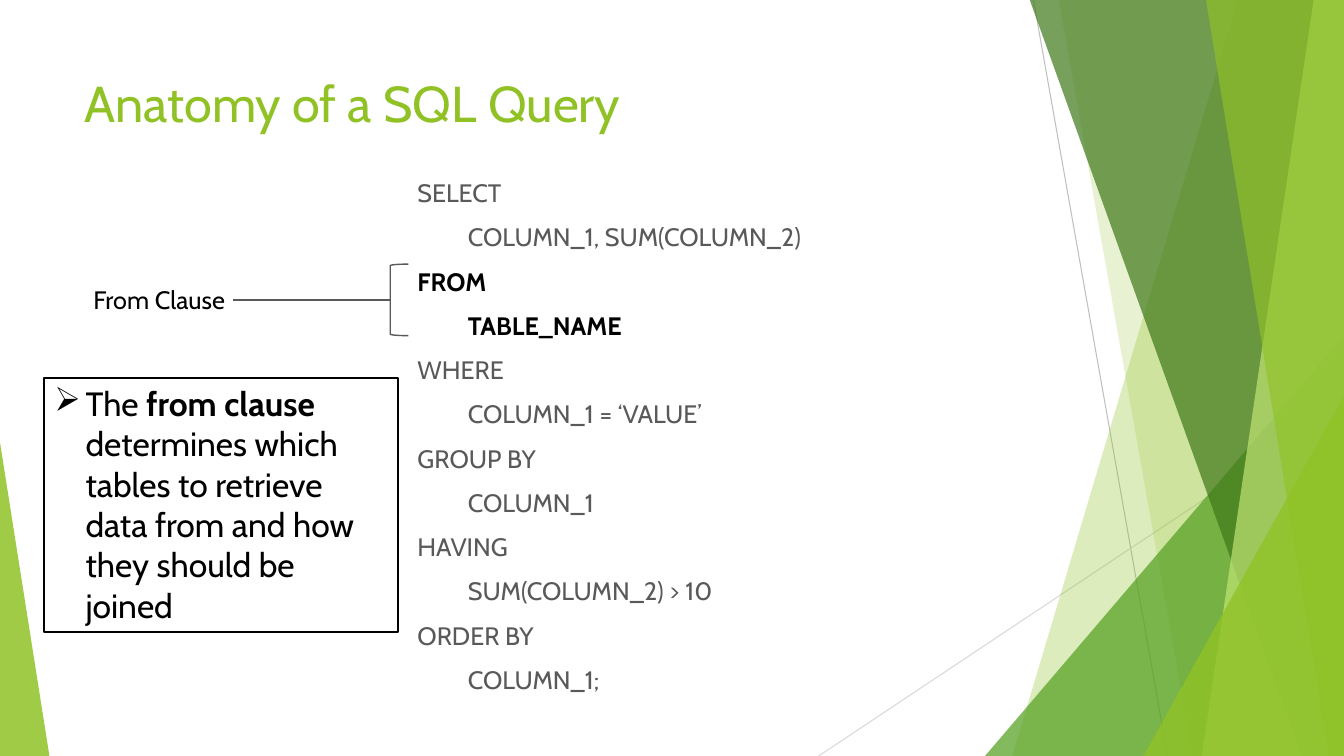
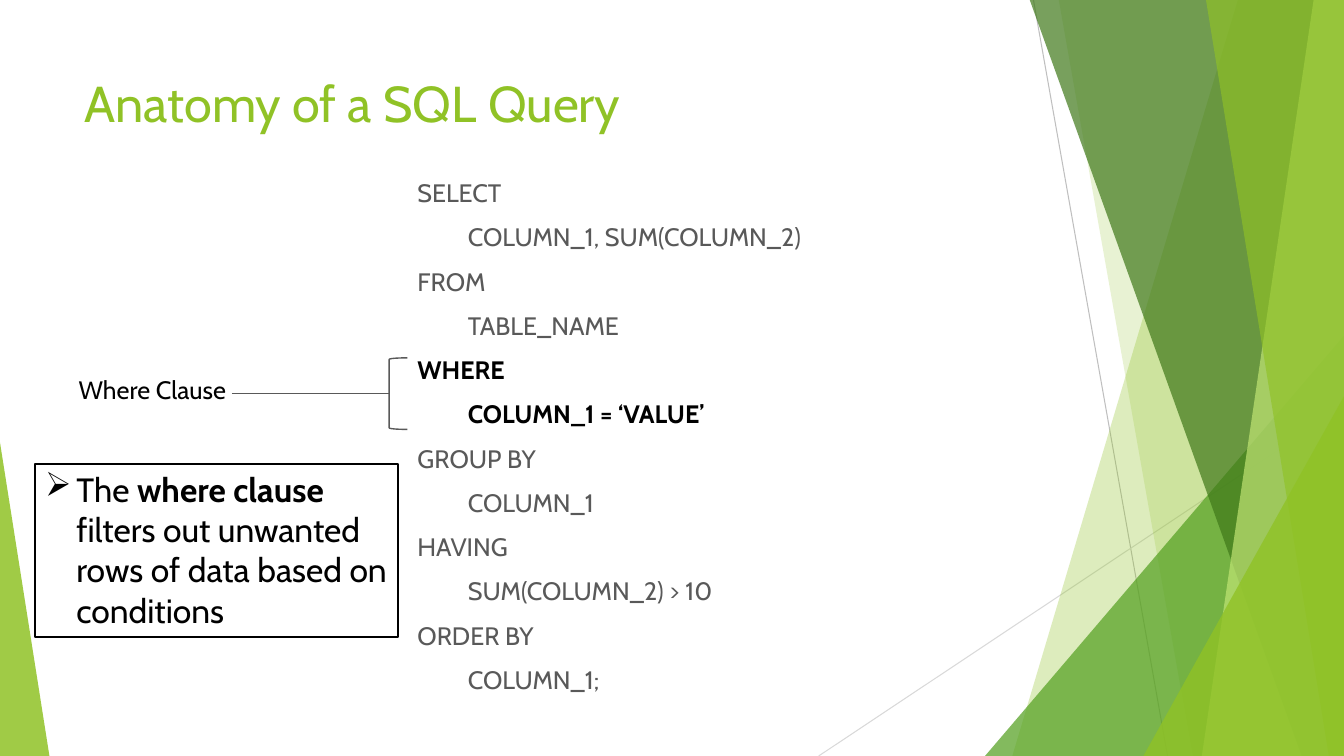
import lxml.etree
import pptx
import pptx.dml.color
import pptx.enum.shapes
import pptx.enum.text
import pptx.oxml.ns
import pptx.util

Inches = pptx.util.Inches
Pt = pptx.util.Pt
RGBColor = pptx.dml.color.RGBColor
Shapes = pptx.enum.shapes.MSO_SHAPE
Align = pptx.enum.text.PP_ALIGN
Anchor = pptx.enum.text.MSO_ANCHOR
AutoSize = pptx.enum.text.MSO_AUTO_SIZE

FONT = "Cabin"
LIME = RGBColor(0x90, 0xC2, 0x26)
GREEN = RGBColor(0x54, 0xA0, 0x21)
DARK_GREEN = RGBColor(0x3F, 0x78, 0x19)
PALE_LIME = RGBColor(0xC0, 0xE4, 0x74)
GRAY = RGBColor(0x59, 0x59, 0x59)
SILVER = RGBColor(0xBF, 0xBF, 0xBF)
LIGHT_GRAY = RGBColor(0xD9, 0xD9, 0xD9)
BLACK = RGBColor(0, 0, 0)
WHITE = RGBColor(0xFF, 0xFF, 0xFF)

WIDTH, HEIGHT = 13.33, 7.5
BAND_TOP = -0.01

TITLE = "Anatomy of a SQL Query"
QUERY = [
    ("SELECT", "COLUMN_1, SUM(COLUMN_2)"),
    ("FROM", "TABLE_NAME"),
    ("WHERE", "COLUMN_1 = ‘VALUE’"),
    ("GROUP BY", "COLUMN_1"),
    ("HAVING", "SUM(COLUMN_2) > 10"),
    ("ORDER BY", "COLUMN_1;"),
]

# Positions are left, top, width, height in inches.
CLAUSES = [
    {
        "keyword": "FROM",
        "label": "From Clause",
        "label_at": (0.53, 2.77, 1.8, 0.4),
        "bracket_at": (3.87, 2.62, 0.18, 0.71),
        "box_at": (0.44, 3.75, 3.51, 2.52),
        "term": "from clause ",
        "meaning": "determines which tables to retrieve data from "
                   "and how they should be joined",
    },
    {
        "keyword": "WHERE",
        "label": "Where Clause",
        "label_at": (0.54, 3.66, 1.8, 0.4),
        "bracket_at": (3.86, 3.55, 0.18, 0.71),
        "box_at": (0.35, 4.6, 3.6, 1.72),
        "term": "where clause ",
        "meaning": "filters out unwanted rows of data based on conditions",
    },
]


def add_child(parent, tag, **attributes):
    """Append a DrawingML element to an XML parent."""
    return lxml.etree.SubElement(parent, pptx.oxml.ns.qn(tag), attributes)


def inches(values):
    """Convert a sequence of numbers to lengths."""
    return [Inches(value) for value in values]


def place(shape, position):
    """Move and size a shape."""
    shape.left, shape.top, shape.width, shape.height = inches(position)


def add_run(paragraph, text, size, color, bold=False):
    """Add one formatted run."""
    run = paragraph.add_run()
    run.text = text
    run.font.name = FONT
    run.font.size = Pt(size)
    run.font.bold = bold
    run.font.color.rgb = color


def set_indent(paragraph, margin, first_line=0, bullet=None):
    """Set the left margin, first-line indent and bullet of a paragraph."""
    properties = paragraph._p.get_or_add_pPr()
    properties.set("marL", str(Inches(margin)))
    properties.set("indent", str(Inches(first_line)))
    if bullet:
        add_child(properties, "a:buChar", char=bullet)
    else:
        add_child(properties, "a:buNone")


def fill_translucent(shape, color, opacity):
    """Give a shape a partly transparent fill and no outline."""
    shape.shadow.inherit = False
    shape.fill.solid()
    shape.fill.fore_color.rgb = color
    shape.line.fill.background()
    color_element = next(shape.element.iter(pptx.oxml.ns.qn("a:srgbClr")))
    add_child(color_element, "a:alpha", val=str(opacity * 1000))


def add_line(slide, start, end, color, width):
    """Draw a straight line without a shadow."""
    line = slide.shapes.add_connector(
        pptx.enum.shapes.MSO_CONNECTOR.STRAIGHT, *inches(start + end))
    line.line.color.rgb = color
    line.line.width = Pt(width)
    add_child(line.element.spPr, "a:effectLst")
    return line


def add_band(slide, top_left, bottom_left, color, opacity):
    """Draw a full-height band that reaches the right edge."""
    builder = slide.shapes.build_freeform(Inches(top_left), Inches(BAND_TOP))
    corners = [(WIDTH, BAND_TOP), (WIDTH, HEIGHT), (bottom_left, HEIGHT)]
    builder.add_line_segments([inches(corner) for corner in corners], close=True)
    band = builder.convert_to_shape()
    fill_translucent(band, color, opacity)
    return band


def add_triangle(slide, position, apex, color, opacity):
    """Draw a corner triangle with its apex at a share of the width."""
    triangle = slide.shapes.add_shape(Shapes.ISOSCELES_TRIANGLE, *inches(position))
    triangle.adjustments[0] = apex
    fill_translucent(triangle, color, opacity)
    return triangle


def decorate_layout(slide):
    """Draw the green facets once and move them to the slide's layout."""
    facets = [
        add_line(slide, (10.25, 0), (11.58, HEIGHT), SILVER, 0.75),
        add_line(slide, (WIDTH, 4.03), (8.12, HEIGHT), LIGHT_GRAY, 0.75),
        add_band(slide, 12.28, 10.04, LIME, 30),
        add_band(slide, 10.5, 11.83, LIME, 20),
        add_triangle(slide, (9.77, 3.33, 3.56, 4.17), 1, GREEN, 72),
        add_band(slide, 10.21, 12.91, DARK_GREEN, 70),
        add_band(slide, 13.03, 11.92, PALE_LIME, 70),
        add_band(slide, 11.96, 13.18, LIME, 65),
        add_triangle(slide, (11.34, 3.93, 1.99, 3.57), 1, LIME, 80),
        add_triangle(slide, (0, 4.39, 0.49, 3.11), 0, LIME, 85),
    ]
    layout_tree = slide.slide_layout.shapes.element
    for index, facet in enumerate(facets):
        properties = next(facet.element.iter(pptx.oxml.ns.qn("p:cNvPr")))
        properties.set("id", str(100 + index))
        layout_tree.insert(2 + index, facet.element)


def fill_title(slide):
    """Place and write the title."""
    title = slide.shapes.title
    place(title, (0.74, 0.67, 9.4, 1.44))
    title.text_frame.vertical_anchor = Anchor.TOP
    paragraph = title.text_frame.paragraphs[0]
    paragraph.alignment = Align.LEFT
    add_run(paragraph, TITLE, 36, LIME)


def fill_query(slide, highlighted):
    """Write the query in the body, with one clause in bold black."""
    body = slide.placeholders[1]
    place(body, (4.04, 1.71, 4.13, 4.51))
    frame = body.text_frame
    frame.auto_size = AutoSize.NONE
    frame.vertical_anchor = Anchor.TOP
    paragraph = frame.paragraphs[0]
    for keyword, argument in QUERY:
        bold = keyword == highlighted
        for text, margin in ((keyword, 0), (argument, 0.5)):
            if paragraph.runs:
                paragraph = frame.add_paragraph()
            paragraph.space_before = Pt(10)
            set_indent(paragraph, margin)
            add_run(paragraph, text, 18, BLACK if bold else GRAY, bold)


def add_callout(slide, text, label_at, bracket_at):
    """Label a clause with a bracket and a leader line."""
    bracket = slide.shapes.add_shape(Shapes.LEFT_BRACKET, *inches(bracket_at))
    bracket.shadow.inherit = False
    bracket.fill.background()
    bracket.line.color.rgb = GRAY
    bracket.line.width = Pt(1)

    left, top, _, height = bracket_at
    middle = top + height / 2
    add_line(slide, (left - 1.56, middle), (left, middle), GRAY, 1)

    label = slide.shapes.add_textbox(*inches(label_at))
    label.text_frame.word_wrap = True
    label.text_frame.auto_size = AutoSize.SHAPE_TO_FIT_TEXT
    paragraph = label.text_frame.paragraphs[0]
    paragraph.alignment = Align.RIGHT
    add_run(paragraph, text, 18, BLACK)


def add_definition(slide, position, term, meaning):
    """Add the outlined box that explains the clause."""
    box = slide.shapes.add_shape(Shapes.RECTANGLE, *inches(position))
    box.shadow.inherit = False
    box.fill.solid()
    box.fill.fore_color.rgb = WHITE
    box.line.color.rgb = BLACK
    box.line.width = Pt(1.5)
    box.text_frame.word_wrap = True
    box.text_frame.auto_size = AutoSize.SHAPE_TO_FIT_TEXT
    box.text_frame.vertical_anchor = Anchor.TOP
    paragraph = box.text_frame.paragraphs[0]
    paragraph.alignment = Align.LEFT
    set_indent(paragraph, 0.31, -0.31, "➢")
    add_run(paragraph, "The ", 24, BLACK)
    add_run(paragraph, term, 24, BLACK, bold=True)
    add_run(paragraph, meaning, 24, BLACK)


def main():
    """Build one slide for each clause."""
    presentation = pptx.Presentation()
    presentation.slide_width = Inches(WIDTH)
    presentation.slide_height = Inches(HEIGHT)
    layout = presentation.slide_layouts.get_by_name("Title and Content")
    for clause in CLAUSES:
        slide = presentation.slides.add_slide(layout)
        fill_title(slide)
        fill_query(slide, clause["keyword"])
        add_callout(slide, clause["label"], clause["label_at"], clause["bracket_at"])
        add_definition(slide, clause["box_at"], clause["term"], clause["meaning"])
    decorate_layout(presentation.slides[0])
    presentation.save("out.pptx")


main()
